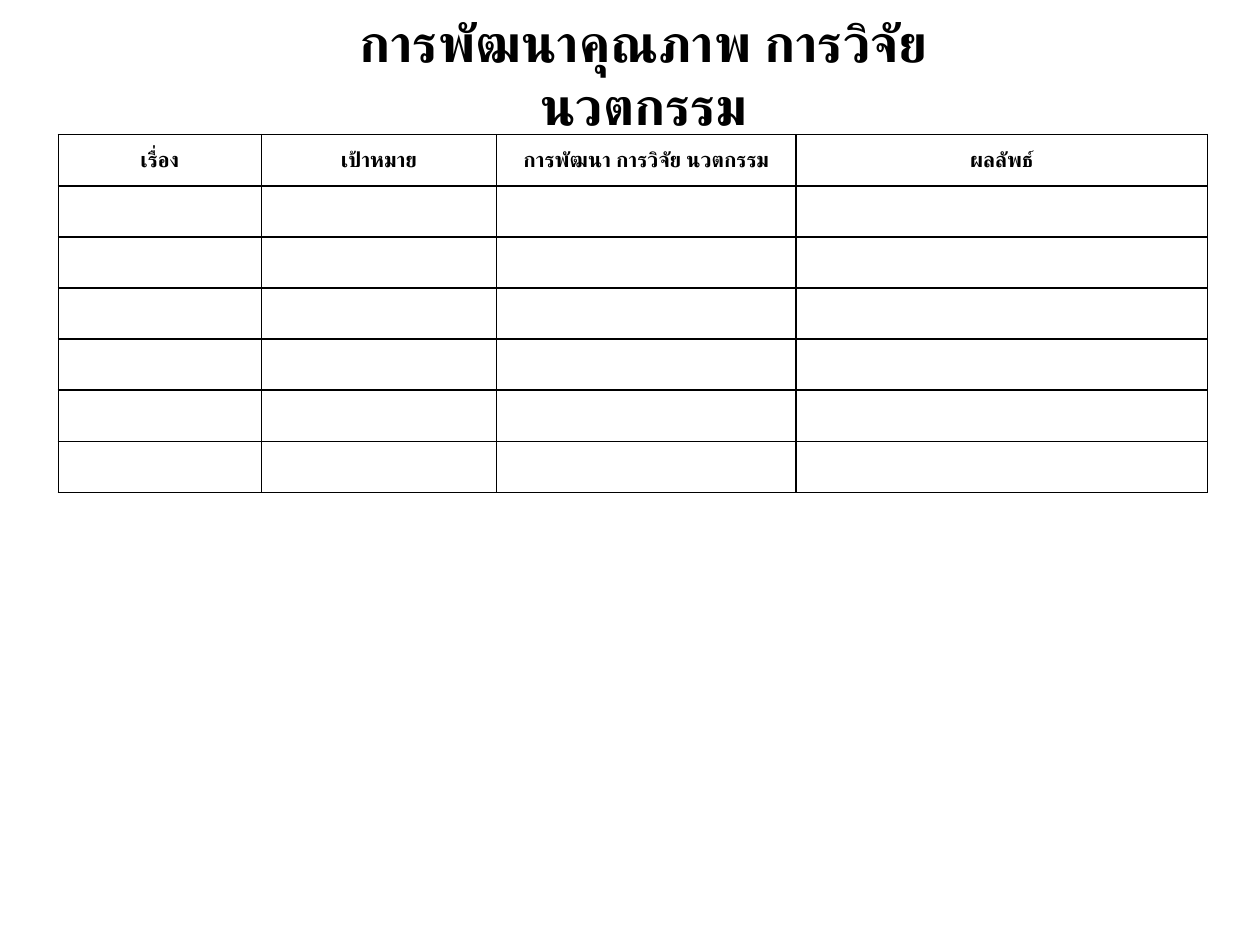
import pptx
import pptx.util
import pptx.dml.color
import pptx.enum.text
import pptx.oxml
import pptx.oxml.ns
from lxml import etree

Pt = pptx.util.Pt
qn = pptx.oxml.ns.qn

THEME = {
    "font": "Roboto",
    "ink": pptx.dml.color.RGBColor(0, 0, 0),
    "title": Pt(30),
    "header": Pt(12),
    "border": Pt(1),
}
HEADERS = ["เรื่อง", "เป้าหมาย", "การพัฒนา การวิจัย นวตกรรม", "ผลลัพธ์"]
COLUMN_WIDTHS = [116, 134.5, 171, 235.2]
ROW_COUNT = 7
ROW_HEIGHT = 29.2


def write_text(tf, text, size):
    p = tf.paragraphs[0]
    p.alignment = pptx.enum.text.PP_ALIGN.CENTER
    r = p.add_run()
    r.text = text
    formats = {"name": THEME["font"], "size": size, "bold": True}
    for name, value in formats.items():
        setattr(r.font, name, value)
    r.font.color.rgb = THEME["ink"]
    # Thai letters take the complex-script font
    etree.SubElement(r.font._element, qn("a:cs"), typeface=THEME["font"])


def add_borders(cell):
    tcPr = cell._tc.get_or_add_tcPr()
    for i, side in enumerate(("lnL", "lnR", "lnT", "lnB")):
        ln = etree.Element(qn(f"a:{side}"), w=str(THEME["border"]))
        fill = etree.SubElement(ln, qn("a:solidFill"))
        etree.SubElement(fill, qn("a:srgbClr"), val=str(THEME["ink"]))
        tcPr.insert(i, ln)


prs = pptx.Presentation()
prs.slide_width, prs.slide_height = Pt(720), Pt(540)
s = prs.slides.add_slide(prs.slide_layouts[6])

# Title
sp = s.shapes.add_textbox(Pt(188.6), Pt(20.9), Pt(358.6), Pt(41.8))
tf = sp.text_frame
title_format = {
    "word_wrap": True,
    "auto_size": pptx.enum.text.MSO_AUTO_SIZE.NONE,
    "vertical_anchor": pptx.enum.text.MSO_ANCHOR.MIDDLE,
    "margin_left": Pt(5),
    "margin_right": Pt(5),
    "margin_top": Pt(2.9),
    "margin_bottom": Pt(2.9),
}
for name, value in title_format.items():
    setattr(tf, name, value)
write_text(tf, "การพัฒนาคุณภาพ การวิจัย นวตกรรม", THEME["title"])

# Table with a header row and blank rows to fill in
table = s.shapes.add_table(
    ROW_COUNT, len(HEADERS), Pt(33.3), Pt(77),
    Pt(sum(COLUMN_WIDTHS)), Pt(ROW_COUNT * ROW_HEIGHT),
).table
table.first_row = table.horz_banding = False
for column, width in zip(table.columns, COLUMN_WIDTHS):
    column.width = Pt(width)
for row in table.rows:
    row.height = Pt(ROW_HEIGHT)

cell_format = {
    "vertical_anchor": pptx.enum.text.MSO_ANCHOR.MIDDLE,
    "margin_left": Pt(4.3),
    "margin_right": Pt(4.3),
    "margin_top": 0,
    "margin_bottom": 0,
}
for cell in table.iter_cells():
    for name, value in cell_format.items():
        setattr(cell, name, value)
    cell.fill.background()
    add_borders(cell)
for cell, header in zip(table.rows[0].cells, HEADERS):
    write_text(cell.text_frame, header, THEME["header"])

prs.save("out.pptx")
